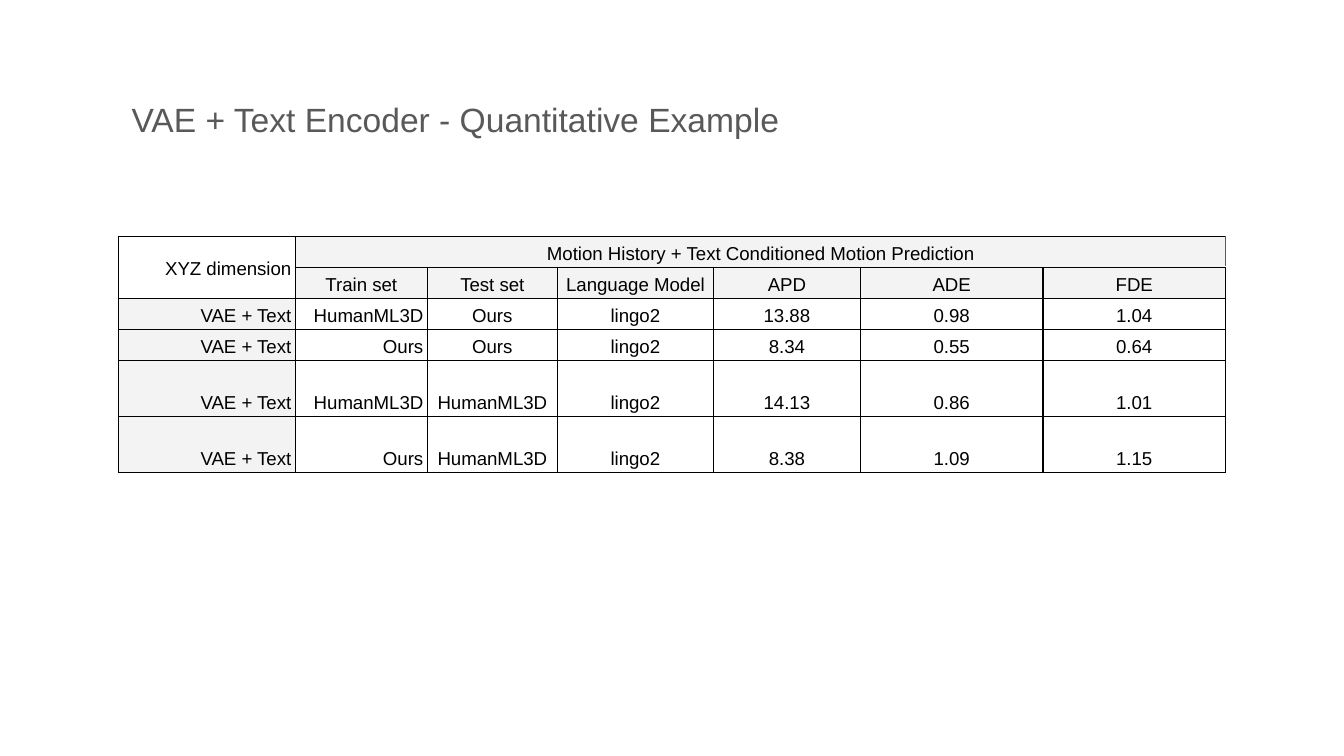
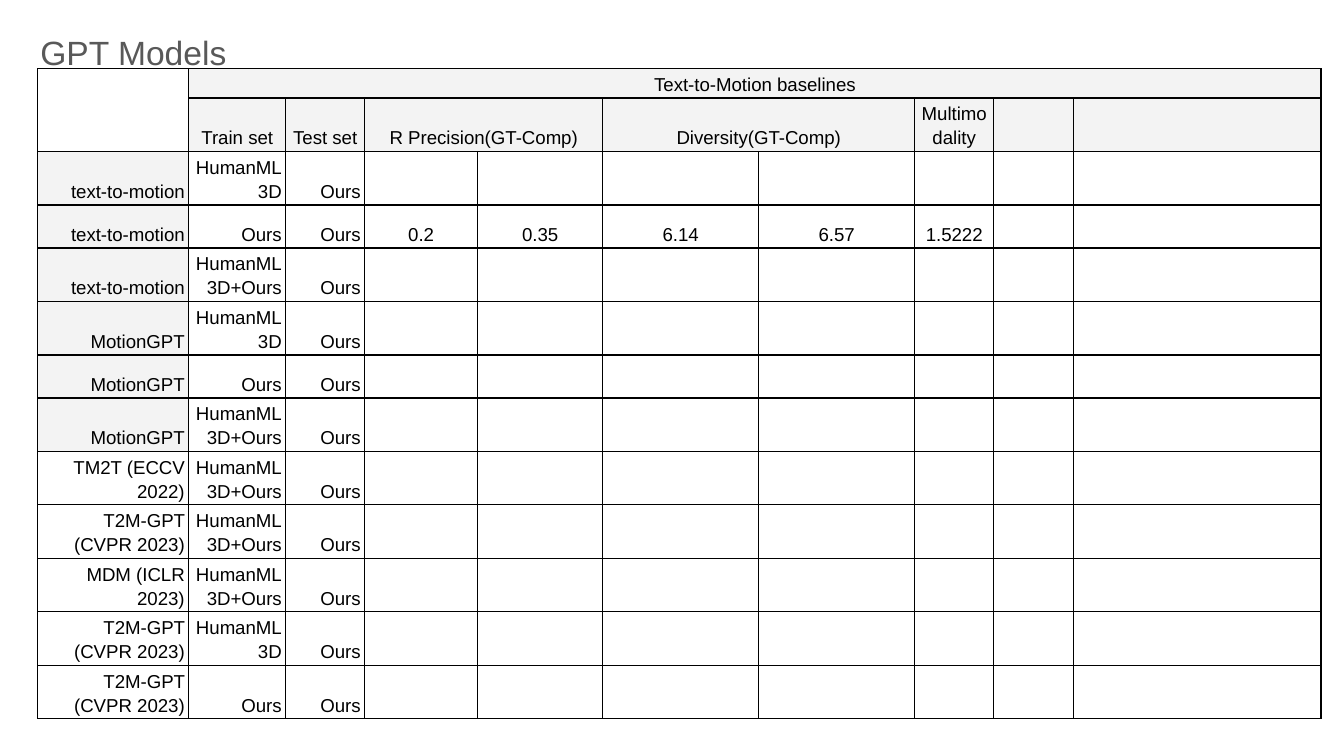
from lxml.etree import SubElement
from pptx import Presentation
from pptx.dml.color import RGBColor as RGB
from pptx.enum.shapes import MSO_CONNECTOR as Conn
from pptx.enum.text import MSO_ANCHOR as Anchor, PP_ALIGN as Align
from pptx.oxml.ns import qn
from pptx.util import Pt

# Shared look
COLORS = {"text": "000000", "title": "595959", "border": "000000", "head": "F3F3F3"}
FONT = "Arial"
HEAD_ROWS = 2

# Content: None is covered by a merge, "" is an empty cell
BOTH = "HumanML3D+Ours"
T2M = "T2M-GPT (CVPR 2023)"
BLANK = [""] * 7

QUANTITATIVE = dict(
    title="VAE + Text Encoder - Quantitative Example",
    title_box=(63.4, 42.5, 461, 40.3),
    at=(63.4, 126.7),
    cols=[94.8, 70.7, 69.7, 83.6, 78.8, 97.8, 97.8],
    heights=[16.6] * 4 + [30] * 2,
    merges=[(0, 0, 1, 0), (0, 1, 0, 6)],
    right_cols=2,
    grey_rows=6,
    open_right=True,
    rows=[
        ["XYZ dimension", "Motion History + Text Conditioned Motion Prediction"] + [None] * 5,
        [None, "Train set", "Test set", "Language Model", "APD", "ADE", "FDE"],
        ["VAE + Text", "HumanML3D", "Ours", "lingo2", "13.88", "0.98", "1.04"],
        ["VAE + Text", "Ours", "Ours", "lingo2", "8.34", "0.55", "0.64"],
        ["VAE + Text", "HumanML3D", "HumanML3D", "lingo2", "14.13", "0.86", "1.01"],
        ["VAE + Text", "Ours", "HumanML3D", "lingo2", "8.38", "1.09", "1.15"],
    ],
)

GPT_MODELS = dict(
    title="GPT Models",
    title_box=(14.5, 6.5, 214.5, 22.3),
    at=(20.2, 36.9),
    cols=[80.9, 52, 42.3, 60.5, 67, 83.6, 83.6, 42.3, 42.6, 132.8],
    heights=[15.6, 28.65, 28.65, 23.1, 28.65, 28.65, 23.1] + [28.65] * 6,
    merges=[(0, 0, 1, 0), (0, 1, 0, 9), (1, 3, 1, 4), (1, 5, 1, 6)],
    right_cols=3,
    grey_rows=8,
    open_right=False,
    rows=[
        ["", "Text-to-Motion baselines"] + [None] * 8,
        [None, "Train set", "Test set", "R Precision(GT-Comp)", None,
         "Diversity(GT-Comp)", None, "Multimodality", "", ""],
        ["text-to-motion", "HumanML3D", "Ours"] + BLANK,
        ["text-to-motion", "Ours", "Ours", "0.2", "0.35", "6.14", "6.57", "1.5222", "", ""],
        ["text-to-motion", BOTH, "Ours"] + BLANK,
        ["MotionGPT", "HumanML3D", "Ours"] + BLANK,
        ["MotionGPT", "Ours", "Ours"] + BLANK,
        ["MotionGPT", BOTH, "Ours"] + BLANK,
        ["TM2T (ECCV 2022)", BOTH, "Ours"] + BLANK,
        [T2M, BOTH, "Ours"] + BLANK,
        ["MDM (ICLR 2023)", BOTH, "Ours"] + BLANK,
        [T2M, "HumanML3D", "Ours"] + BLANK,
        [T2M, "Ours", "Ours"] + BLANK,
    ],
)


def style_text(p, size, color):
    p.line_spacing = 1.15
    for r in p.runs:
        r.font.name, r.font.size = FONT, Pt(size)
        r.font.color.rgb = RGB.from_string(COLORS[color])


def add_title(s, text, box):
    tf = s.shapes.add_textbox(*map(Pt, box)).text_frame
    tf.word_wrap = True
    tf.margin_left = tf.margin_right = tf.margin_top = tf.margin_bottom = Pt(7.2)
    tf.text = text
    style_text(tf.paragraphs[0], 18, "title")


def add_borders(cell, sides):
    tc_pr = cell._tc.get_or_add_tcPr()
    for side in sides:
        ln = SubElement(tc_pr, qn(f"a:ln{side}"), w=str(Pt(0.75)))
        fill = SubElement(ln, qn("a:solidFill"))
        SubElement(fill, qn("a:srgbClr"), val=COLORS["border"])


def fill_cell(cell, text, align, anchor, grey, sides):
    cell.margin_left = cell.margin_right = Pt(2.2)
    cell.margin_top = cell.margin_bottom = Pt(1.4)
    cell.vertical_anchor = anchor
    add_borders(cell, sides)
    if grey:
        cell.fill.solid()
        cell.fill.fore_color.rgb = RGB.from_string(COLORS["head"])
    else:
        cell.fill.background()
    p = cell.text_frame.paragraphs[0]
    p.alignment = align
    if text:
        p.text = text
    else:
        SubElement(p._p, qn("a:endParaRPr"), sz="1000")
    style_text(p, 10, "text")


def add_results(s, d):
    size = sum(d["cols"]), sum(d["heights"])
    table = s.shapes.add_table(len(d["rows"]), len(d["cols"]), *map(Pt, d["at"] + size)).table
    table.first_row = table.horz_banding = False
    for col, width in zip(table.columns, d["cols"]):
        col.width = Pt(width)
    for row, height in zip(table.rows, d["heights"]):
        row.height = Pt(height)
    for i, texts in enumerate(d["rows"]):
        for j, text in enumerate(texts):
            head = i < HEAD_ROWS
            corner = head and j == 0
            right = corner or (not head and j < d["right_cols"])
            grey = not corner and (head or (j == 0 and i < d["grey_rows"]))
            is_open = d["open_right"] and i == 0 and j > 0
            fill_cell(table.cell(i, j), text,
                      Align.RIGHT if right else Align.CENTER,
                      Anchor.MIDDLE if corner else Anchor.BOTTOM,
                      grey, "LTB" if is_open else "LRTB")
    for top, left, bottom, end in d["merges"]:
        table.cell(top, left).merge(table.cell(bottom, end))


def add_edge(s, x, top, bottom):
    line = s.shapes.add_connector(Conn.STRAIGHT, Pt(x), Pt(top), Pt(x), Pt(bottom))
    line.line.color.rgb = RGB.from_string(COLORS["title"])
    line.line.width = Pt(0.75)
    SubElement(line._element.spPr, qn("a:effectLst"))


def main():
    prs = Presentation()
    prs.slide_width, prs.slide_height = Pt(720), Pt(405)
    for d in (QUANTITATIVE, GPT_MODELS):
        s = prs.slides.add_slide(prs.slide_layouts[6])
        add_results(s, d)
        # Line closing the open side of the heading row
        if d["open_right"]:
            left, top = d["at"]
            add_edge(s, left + sum(d["cols"]), top, top + 15.9)
        add_title(s, d["title"], d["title_box"])
    prs.save("out.pptx")


if __name__ == "__main__":
    main()
